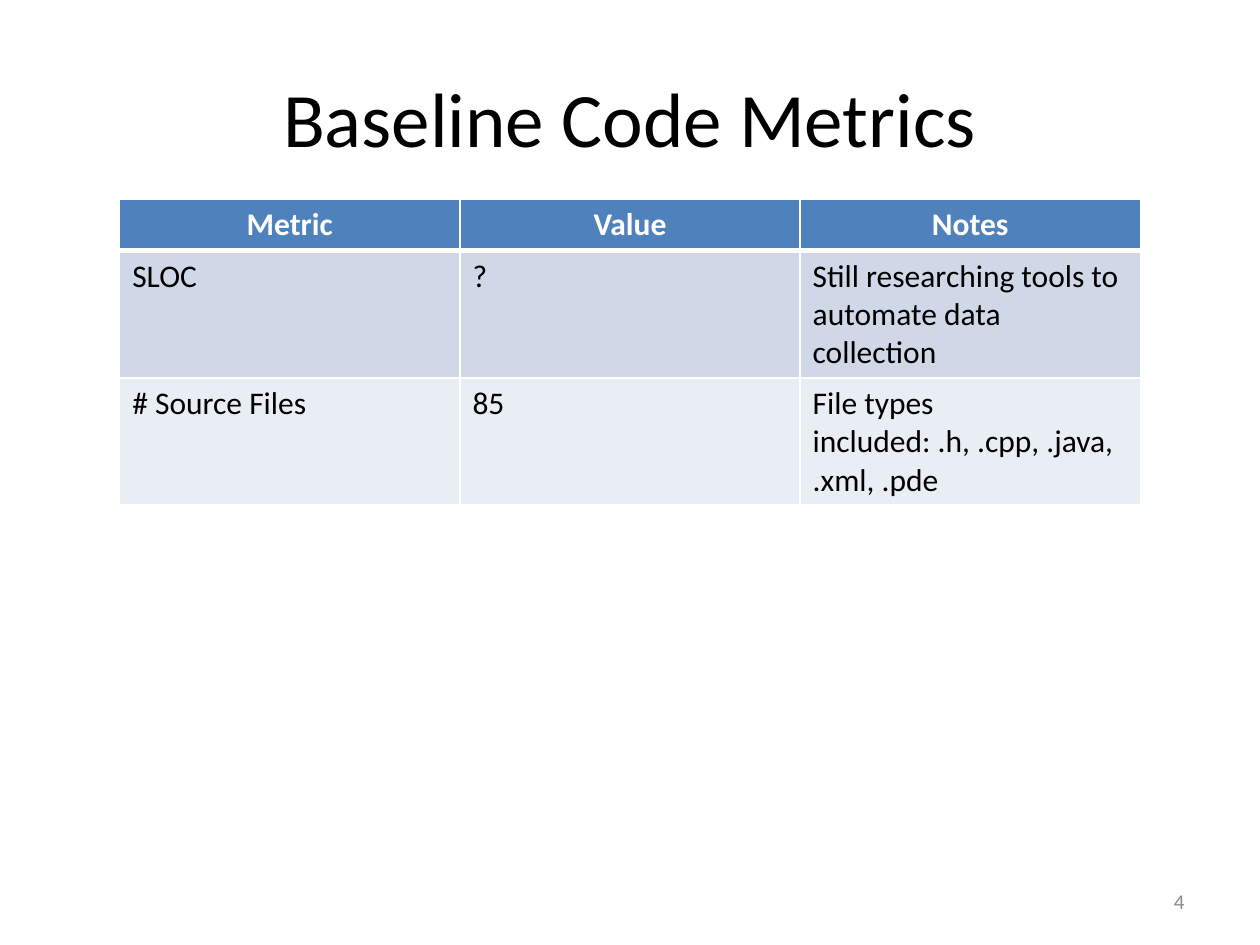
from typing import NamedTuple

from lxml import etree
from pptx import Presentation
from pptx.dml.color import RGBColor
from pptx.enum.text import MSO_ANCHOR, PP_ALIGN
from pptx.oxml.ns import qn
from pptx.util import Inches, Pt

LEFT, CENTER, RIGHT = PP_ALIGN.LEFT, PP_ALIGN.CENTER, PP_ALIGN.RIGHT
MIDDLE = MSO_ANCHOR.MIDDLE
TITLE_ONLY = 5
FONT = "Calibri"
COLORS = {
    "text": "000000",
    "number": "8C8C8C",
    "white": "FFFFFF",
    "header": "4F81BD",
    "odd": "D0D8E8",
    "even": "E9EDF4",
}


class MetricRow(NamedTuple):
    """One table row with its look."""
    texts: tuple[str, str, str]
    height: float
    fill: str
    color: str = "text"
    align: PP_ALIGN = LEFT
    bold: bool = False
    top_border: float = 1
    bottom_border: float = 1


ROWS = [
    MetricRow(("Metric", "Value", "Notes"), 0.41, "header", "white", CENTER, True,
              bottom_border=3),
    MetricRow(("SLOC", "?", "Still researching tools to automate data collection"),
              1.01, "odd", top_border=3),
    MetricRow(("# Source Files", "85", "File types included: .h, .cpp, .java, .xml, .pde"),
              1.01, "even"),
]
COLUMN_WIDTH = 2.7


def write_text(frame, text: str, size: float, color: str, align: PP_ALIGN,
               bold: bool = False) -> None:
    """Put one formatted paragraph into a text frame."""
    frame.text = text
    paragraph = frame.paragraphs[0]
    paragraph.alignment = align
    font = paragraph.font
    font.name, font.size, font.bold = FONT, Pt(size), bold
    font.color.rgb = RGBColor.from_string(COLORS[color])


def set_borders(cell, top: float, bottom: float) -> None:
    """Give a cell white borders, ahead of its fill in the XML."""
    properties = cell._tc.get_or_add_tcPr()
    widths = {"a:lnL": 1, "a:lnR": 1, "a:lnT": top, "a:lnB": bottom}
    for index, (tag, width) in enumerate(widths.items()):
        line = etree.Element(qn(tag), w=str(Pt(width)))
        fill = etree.SubElement(line, qn("a:solidFill"))
        etree.SubElement(fill, qn("a:srgbClr"), val=COLORS["white"])
        properties.insert(index, line)


def add_metrics_table(slide, rows: list[MetricRow]) -> None:
    """Draw the table of code metrics."""
    column_count = len(rows[0].texts)
    table = slide.shapes.add_table(
        len(rows), column_count, Inches(0.95), Inches(1.58),
        Inches(COLUMN_WIDTH * column_count), Inches(sum(row.height for row in rows))).table
    for column in table.columns:
        column.width = Inches(COLUMN_WIDTH)
    for row_index, row in enumerate(rows):
        table.rows[row_index].height = Inches(row.height)
        for column_index, text in enumerate(row.texts):
            cell = table.cell(row_index, column_index)
            write_text(cell.text_frame, text, 18, row.color, row.align, row.bold)
            cell.fill.solid()
            cell.fill.fore_color.rgb = RGBColor.from_string(COLORS[row.fill])
            set_borders(cell, row.top_border, row.bottom_border)


def add_title(slide, text: str) -> None:
    """Place and fill the title placeholder."""
    title = slide.shapes.title
    title.left, title.top = Inches(0.5), Inches(0.3)
    title.width, title.height = Inches(9), Inches(1.25)
    write_text(title.text_frame, text, 44, "text", CENTER)
    title.text_frame.vertical_anchor = MIDDLE


def add_page_number(slide, text: str) -> None:
    """Write the page number at the bottom right."""
    box = slide.shapes.add_textbox(Inches(7.17), Inches(6.95), Inches(2.33), Inches(0.4))
    box.text_frame.word_wrap = True
    box.text_frame.vertical_anchor = MIDDLE
    write_text(box.text_frame, text, 12, "number", RIGHT)


def main() -> None:
    """Build and save the slide."""
    presentation = Presentation()
    presentation.slide_width, presentation.slide_height = Inches(10), Inches(7.5)
    slide = presentation.slides.add_slide(presentation.slide_layouts[TITLE_ONLY])
    add_title(slide, "Baseline Code Metrics")
    add_page_number(slide, "4")
    add_metrics_table(slide, ROWS)
    presentation.save("out.pptx")


main()
